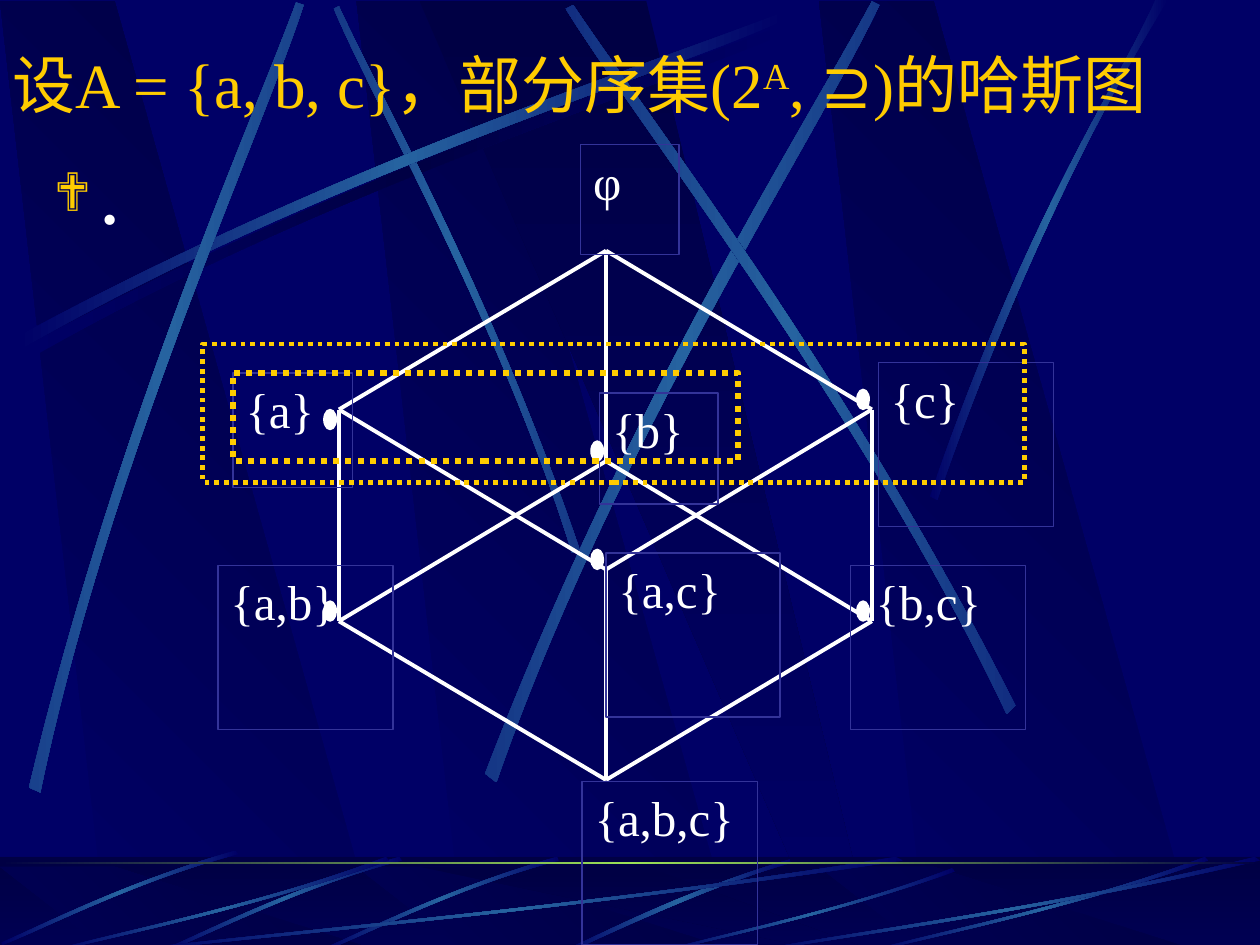
import itertools
import math
from dataclasses import dataclass

import pptx
import pptx.dml.color
import pptx.enum.dml
import pptx.enum.shapes
import pptx.enum.text
import pptx.oxml
import pptx.oxml.ns
import pptx.util

GRID_CM = 2.54  # one layout unit
NAVY, DARK, STREAK = "000066", "000044", "2663A0"
WHITE, GOLD, FRAME, LIME = "FFFFFF", "FFCC00", "333399", "9CE157"
FONT = "Times New Roman"
A_NS = 'xmlns:a="http://schemas.openxmlformats.org/drawingml/2006/main"'
Shape = pptx.enum.shapes.MSO_SHAPE
qn = pptx.oxml.ns.qn
Point = tuple[float, float]


@dataclass
class Streak:
    """Two cubic edges, there and back, with an optional shift and turn."""
    there: list[Point]
    back: list[Point]
    shift: Point = (0, 0)
    middle: str = STREAK
    turn: float = 0


@dataclass
class Node:
    """A subset in the diagram: where it sits and its label box."""
    x: float
    y: float
    box: tuple[float, float, float, float]
    dot_dy: float | None = -0.16
    indent: float = 0.1


def grid(units: float) -> pptx.util.Length:
    return pptx.util.Cm(units * GRID_CM)


def colour(value: str) -> pptx.dml.color.RGBColor:
    return pptx.dml.color.RGBColor.from_string(value)


def set_font(run, size: float, tint: str, name: str = FONT) -> None:
    run.font.size, run.font.name = pptx.util.Pt(size), name
    run.font.color.rgb = colour(tint)


def set_gradient(shape, stops: list[str], angle: int) -> None:
    shape.shadow.inherit = False
    shape.line.fill.background()
    shape.fill.background()
    marks = "".join(
        f'<a:gs pos="{100000 * i // (len(stops) - 1)}"><a:srgbClr val="{c}"/></a:gs>'
        for i, c in enumerate(stops))
    gradient = pptx.oxml.parse_xml(
        f'<a:gradFill {A_NS} rotWithShape="0"><a:gsLst>{marks}</a:gsLst>'
        f'<a:lin ang="{angle * 60000}" scaled="0"/></a:gradFill>')
    properties = shape._element.spPr
    properties.replace(properties.find(qn("a:noFill")), gradient)


def add_outline(slide, points: list[Point], stops: list[str], angle: int):
    corners = [(grid(x), grid(y)) for x, y in points]
    builder = slide.shapes.build_freeform(*corners[0])
    builder.add_line_segments(corners[1:], close=True)
    shape = builder.convert_to_shape()
    set_gradient(shape, stops, angle)
    return shape


def rotate(point: Point, degrees: float) -> Point:
    c, s = math.cos(math.radians(degrees)), math.sin(math.radians(degrees))
    return point[0] * c - point[1] * s, point[0] * s + point[1] * c


def unturn(points: list[Point], turn: float) -> list[Point]:
    """Points that land on the given ones once their shape is turned."""
    flat = [rotate(p, -turn) for p in points]
    centre = tuple((min(axis) + max(axis)) / 2 for axis in zip(*flat))
    target = rotate(centre, turn)
    return [(x + target[0] - centre[0], y + target[1] - centre[1]) for x, y in flat]


def add_streak(slide, streak: Streak) -> None:
    dx, dy = streak.shift
    points = [(x + dx, y + dy) for x, y in streak.there + streak.back]
    shape = add_outline(slide, unturn(points, streak.turn), [NAVY, streak.middle, NAVY], 0)
    shape.rotation = streak.turn % 360
    # Each edge's three segments become one cubic curve
    segments = list(shape._element.iter(qn("a:lnTo")))
    for edge in (segments[:3], segments[4:7]):
        curve = pptx.oxml.parse_xml(f"<a:cubicBezTo {A_NS}/>")
        edge[0].addprevious(curve)
        for segment in edge:
            curve.append(segment[0])
            segment.getparent().remove(segment)


def add_box(slide, kind, box, line: str | None = None, width: float = 0.75,
            fill: str | None = None):
    shape = slide.shapes.add_shape(kind, *map(grid, box))
    shape.shadow.inherit = False
    if fill:
        shape.fill.solid()
        shape.fill.fore_color.rgb = colour(fill)
    else:
        shape.fill.background()
    if line:
        shape.line.color.rgb = colour(line)
        shape.line.width = pptx.util.Pt(width)
    else:
        shape.line.fill.background()
    return shape


def add_band(slide, top: float, height: float, stops: list[str], angle: int) -> None:
    set_gradient(add_box(slide, Shape.RECTANGLE, (0, top, 10, height)), stops, angle)


def add_panels(slide, top: float, bottom: float) -> None:
    for x in (2.83, 0, 6.5):
        corners = [(x + 0.86, bottom), (x + 3.02, bottom), (x + 0.91, top), (x, top)]
        add_outline(slide, corners, [NAVY, DARK], 315)
    add_outline(slide, [(3.33, top), (6.58, bottom), (6.94, bottom), (5.13, top)],
                [DARK, NAVY], 90)


def wisp(left: float, top: float, width: float) -> Streak:
    def place(*units: Point) -> list[Point]:
        return [(left + u * width, top + v * (7.55 - top)) for u, v in units]
    return Streak(place((1, 0.04), (0.57, 0.57), (0.17, 0.85), (0.01, 1)),
                  place((0, 0.99), (0.17, 0.81), (0.62, 0.51), (0.99, 0)))


def add_edge(slide, start: Node, end: Node) -> None:
    edge = slide.shapes.add_connector(
        pptx.enum.shapes.MSO_CONNECTOR.STRAIGHT,
        *map(grid, (start.x, start.y, end.x, end.y)))
    edge.line.color.rgb = colour(WHITE)
    edge.line.width = pptx.util.Pt(2.25)
    edge._element.spPr.append(pptx.oxml.parse_xml(f"<a:effectLst {A_NS}/>"))


def add_node(slide, subset: str, node: Node) -> None:
    label = add_box(slide, Shape.RECTANGLE, node.box, FRAME).text_frame
    label.word_wrap = True
    label.margin_left = grid(node.indent)
    label.vertical_anchor = pptx.enum.text.MSO_ANCHOR.TOP
    label.text = "{" + ",".join(subset) + "}" if subset else "φ"
    label.paragraphs[0].alignment = pptx.enum.text.PP_ALIGN.JUSTIFY
    set_font(label.paragraphs[0].runs[0], 28, WHITE)
    if node.dot_dy is not None:
        add_box(slide, Shape.OVAL, (node.x - 0.12, node.y + node.dot_dy, 0.1, 0.16),
                WHITE, fill=WHITE)


SWEEP = ([(0.14, 2.67), (2.78, 1.25), (5.18, 0.51), (6.2, 0.1)],
         [(6.23, 0.16), (5.22, 0.61), (2.48, 1.43), (0.17, 2.77)])
LOW_SWEEP = ([(4.42, 6.8), (3.55, 7.05), (2.87, 7.4), (2.56, 7.53)],
             [(2.57, 7.55), (2.88, 7.43), (3.65, 7.03), (4.44, 6.83)])
UPPER_STREAKS = [
    Streak(*SWEEP, shift=(0.06, 0.08), middle=DARK),
    Streak([(4.6, 4.36), (3.91, 2.34), (3.02, 0.77), (2.69, 0.05)],
           [(2.65, 0.07), (2.95, 0.79), (3.98, 2.58), (4.54, 4.39)], turn=45),
    Streak(*SWEEP),
    Streak([(0.23, 6.25), (0.93, 3.34), (1.97, 1.05), (2.35, 0.02)],
           [(2.41, 0.04), (2.07, 1.09), (0.86, 3.68), (0.32, 6.29)], turn=311.7),
    Streak([(3.85, 6.14), (4.98, 3.2), (6.38, 1.02), (6.92, 0.01)],
           [(6.98, 0.04), (6.49, 1.08), (4.86, 3.55), (3.94, 6.21)], turn=321.6),
    Streak([(8.06, 5.6), (6.7, 2.93), (5.16, 0.95), (4.55, 0.04)],
           [(4.49, 0.07), (5.07, 1.01), (6.85, 3.25), (7.99, 5.67)], turn=34.7),
    Streak([(7.38, 3.94), (8.14, 1.73), (8.88, 0.66), (9.17, 0)],
           [(9.27, 0), (8.36, 1.45), (7.69, 3.22), (7.44, 3.97)]),
]
LOWER_STREAKS = [
    Streak([(6.27, 6.82), (5.37, 7.09), (4.77, 7.42), (4.48, 7.54)],
           [(4.53, 7.55), (4.9, 7.38), (5.71, 7), (6.28, 6.85)]),
    *(Streak(*LOW_SWEEP, shift=s, turn=315) for s in ((0, 0), (-1.25, 0), (-2.55, -0.05))),
    *(wisp(*w) for w in ((1, 6.8, 6.17), (0.42, 6.8, 2.67), (5.27, 6.89, 2.31),
                         (6.92, 6.8, 2.67), (6, 6.8, 4))),
]
NODES = {
    "": Node(4.81, 1.99, (4.61, 1.15, 0.78, 0.87), None),
    "a": Node(2.69, 3.25, (1.85, 2.96, 0.95, 0.91), 0),
    "b": Node(4.81, 3.66, (4.76, 3.12, 0.94, 0.88)),
    "c": Node(6.92, 3.25, (6.97, 2.88, 1.39, 1.3)),
    "ab": Node(2.69, 4.93, (1.73, 4.49, 1.39, 1.3)),
    "ac": Node(4.81, 4.52, (4.81, 4.39, 1.38, 1.3)),
    "bc": Node(6.92, 4.93, (6.75, 4.49, 1.39, 1.3), indent=0.2),
    "abc": Node(4.81, 6.19, (4.62, 6.2, 1.39, 1.3), None),
}


def add_title(slide) -> None:
    title = slide.shapes.title
    slide.shapes._spTree.append(title._element)  # in front of the backdrop
    title.left, title.top, title.width, title.height = map(grid, (0, 0.3, 10, 1.52))
    heading = title.text_frame
    heading.word_wrap = True
    heading.auto_size = pptx.enum.text.MSO_AUTO_SIZE.NONE
    heading.vertical_anchor = pptx.enum.text.MSO_ANCHOR.TOP
    heading.margin_top = grid(0.06)
    line = heading.paragraphs[0]
    line.alignment = pptx.enum.text.PP_ALIGN.LEFT
    for part in ("设A = {a, b, c}，部分序集(2", "A", ", ", "⊇", ")的哈斯图"):
        run = line.add_run()
        run.text = part
        set_font(run, 36, GOLD, "Montserrat" if part == "⊇" else FONT)
        if part == "A":
            run.font._element.set("baseline", "30000")


def add_bullet(slide) -> None:
    body = slide.shapes.add_textbox(*map(grid, (0.33, 1.23, 9.67, 5.98))).text_frame
    body.word_wrap = True
    body.text = "."
    properties = body.paragraphs[0]._p.get_or_add_pPr()
    properties.set("marL", str(grid(0.38)))
    properties.set("indent", str(-grid(0.38)))
    for mark in (f'<a:buClr {A_NS}><a:srgbClr val="{GOLD}"/></a:buClr>',
                 f'<a:buSzPct {A_NS} val="85000"/>',
                 f'<a:buFont {A_NS} typeface="Wingdings" charset="2"/>',
                 f'<a:buChar {A_NS} char="❖"/>'):
        properties.append(pptx.oxml.parse_xml(mark))
    dot = body.paragraphs[0].runs[0]
    set_font(dot, 36, WHITE)
    dot.font.bold = True


def main() -> None:
    deck = pptx.Presentation()
    deck.slide_width, deck.slide_height = grid(10), grid(7.5)
    slide = deck.slides.add_slide(deck.slide_layouts[5])
    slide.background.fill.solid()
    slide.background.fill.fore_color.rgb = colour(NAVY)

    # Backdrop
    add_panels(slide, 0.01, 7.53)
    for streak in UPPER_STREAKS:
        add_streak(slide, streak)
    add_band(slide, 6.8, 0.75, [DARK, NAVY], 90)
    add_panels(slide, 6.88, 7.55)
    veil = add_box(slide, Shape.RECTANGLE, (0, 6.8, 10, 0.75), fill=DARK)
    veil.fill._xPr.find(".//" + qn("a:srgbClr")).append(
        pptx.oxml.parse_xml(f'<a:alpha {A_NS} val="50000"/>'))
    for streak in LOWER_STREAKS:
        add_streak(slide, streak)
    add_band(slide, 6.84, 0.02, [DARK, LIME, DARK], 0)

    add_title(slide)
    add_bullet(slide)

    # Hasse diagram: an edge joins subsets that differ by one element
    for low, high in itertools.combinations(NODES, 2):
        if set(low) < set(high) and len(high) - len(low) == 1:
            add_edge(slide, NODES[low], NODES[high])
    for subset, node in NODES.items():
        add_node(slide, subset, node)

    # Dotted selections
    for box, width in (((1.61, 2.73, 6.52, 1.1), 2.75), ((1.85, 2.96, 4.01, 0.7), 3.5)):
        selection = add_box(slide, Shape.RECTANGLE, box, GOLD, width)
        selection.line.dash_style = pptx.enum.dml.MSO_LINE.ROUND_DOT

    deck.save("out.pptx")


if __name__ == "__main__":
    main()
